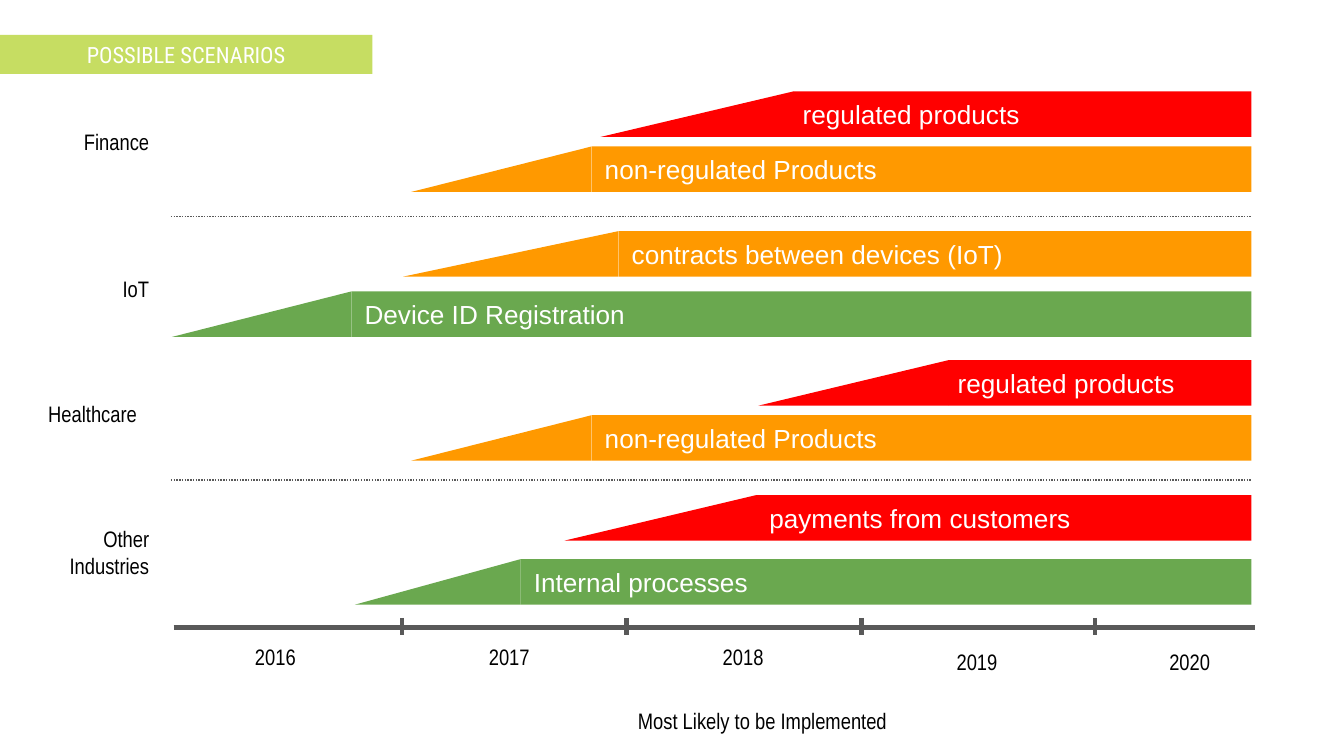
"""Build the slide of possible scenarios on a timeline from 2016 to 2020."""
import pptx
import pptx.util
import pptx.dml.color
import pptx.enum.dml
import pptx.enum.shapes
import pptx.enum.text
import pptx.oxml
import pptx.oxml.ns

Cm = pptx.util.Cm
Kind = pptx.enum.shapes.MSO_SHAPE
Side = pptx.enum.text.PP_ALIGN
Anchor = pptx.enum.text.MSO_ANCHOR

RED, ORANGE, GREEN = "FF0000", "FF9900", "6AA84F"
LIME, GREY, BLACK, WHITE = "C6DD62", "595959", "000000", "FFFFFF"
NARROW = "Arial Narrow"
END, HIGH, INSET = 23.65, 0.86, 0.25

TITLE = "POSSIBLE SCENARIOS"
CAPTION = "Most Likely to be Implemented"
# label, left, top, height
LABELS = [
    ("Finance", 0.63, 2.18, 0.86),
    ("IoT", 0.63, 4.95, 0.86),
    ("Healthcare", 0.4, 7.32, 0.86),
    ("Other Industries", 0.63, 9.68, 1.47),
]
# text, colour, ramp start, bar start, top, inset
BARS = [
    ("regulated products", RED, 11.35, 14.99, 1.73, 0.18),
    ("non-regulated Products", ORANGE, 7.77, 11.18, 2.77, INSET),
    ("contracts between devices (IoT)", ORANGE, 7.62, 11.69, 4.37, INSET),
    ("Device ID Registration", GREEN, 3.25, 6.64, 5.51, INSET),
    ("regulated products", RED, 14.33, 17.92, 6.81, 0.18),
    ("non-regulated Products", ORANGE, 7.77, 11.18, 7.85, INSET),
    ("payments from customers", RED, 10.67, 14.29, 9.36, INSET),
    ("Internal processes", GREEN, 6.71, 9.84, 10.57, INSET),
]
YEARS = [
    ("2016", 4.34, 12.01),
    ("2017", 8.76, 12.01),
    ("2018", 13.18, 12.01),
    ("2019", 17.6, 12.12),
    ("2020", 21.62, 12.12),
]
TICKS = [7.59, 11.84, 16.28, 20.7]
RULES = [4.09, 9.07]
AXIS = 11.86


def color(code):
    return pptx.dml.color.RGBColor.from_string(code)


def write(shape, text, size, font, ink, side, anchor, inset=INSET):
    frame = shape.text_frame
    frame.word_wrap = True
    frame.vertical_anchor = anchor
    frame.margin_left = Cm(inset)
    frame.margin_right = frame.margin_top = frame.margin_bottom = Cm(INSET)
    frame.text = text
    para = frame.paragraphs[0]
    para.alignment = side
    for run in para.runs:
        run.font.size = pptx.util.Pt(size)
        run.font.name = font
        run.font.color.rgb = color(ink)


def block(slide, kind, fill, left, top, wide, high):
    shape = slide.shapes.add_shape(kind, Cm(left), Cm(top), Cm(wide), Cm(high))
    shape.shadow.inherit = False
    shape.fill.solid()
    shape.fill.fore_color.rgb = color(fill)
    shape.line.fill.background()
    return shape


def label(slide, text, left, top, wide, high, side, anchor):
    box = slide.shapes.add_textbox(Cm(left), Cm(top), Cm(wide), Cm(high))
    write(box, text, 12, NARROW, BLACK, side, anchor)


def rule(slide, left, top, right, base, width, dash=None):
    line = slide.shapes.add_connector(
        pptx.enum.shapes.MSO_CONNECTOR.STRAIGHT,
        Cm(left), Cm(top), Cm(right), Cm(base))
    line.line.color.rgb = color(GREY)
    line.line.width = pptx.util.Pt(width)
    if dash:
        line.line.dash_style = dash
    line.element.spPr.append(pptx.oxml.parse_xml(
        "<a:effectLst %s/>" % pptx.oxml.ns.nsdecls("a")))


def main():
    deck = pptx.Presentation()
    deck.slide_width, deck.slide_height = Cm(25.4), Cm(14.29)
    slide = deck.slides.add_slide(deck.slide_layouts[6])

    banner = block(slide, Kind.RECTANGLE, LIME, 0, 0.66, 7.04, 0.74)
    write(banner, TITLE, 12, "Roboto Condensed", WHITE,
          Side.CENTER, Anchor.MIDDLE)

    for text, left, top, high in LABELS:
        label(slide, text, left, top, 2.44, high, Side.RIGHT, Anchor.TOP)

    for y in RULES:
        rule(slide, 3.23, y, END, y, 0.75,
             pptx.enum.dml.MSO_LINE.ROUND_DOT)

    for text, fill, start, full, top, inset in BARS:
        ramp = block(slide, Kind.RIGHT_TRIANGLE, fill,
                     start, top, full - start, HIGH)
        ramp.element.spPr.xfrm.set("flipH", "1")
        bar = block(slide, Kind.RECTANGLE, fill, full, top, END - full, HIGH)
        write(bar, text, 14, "Arial", WHITE, Side.LEFT, Anchor.MIDDLE, inset)

    rule(slide, 3.28, AXIS, 23.72, AXIS, 2.25)
    for x in TICKS:
        rule(slide, x, 11.68, x, 12.01, 2.25)
    for text, left, top in YEARS:
        label(slide, text, left, top, 1.73, 0.79, Side.CENTER, Anchor.MIDDLE)
    label(slide, CAPTION, 11.35, 13.11, 6.12, 0.86, Side.CENTER, Anchor.TOP)

    deck.save("out.pptx")


if __name__ == "__main__":
    main()
